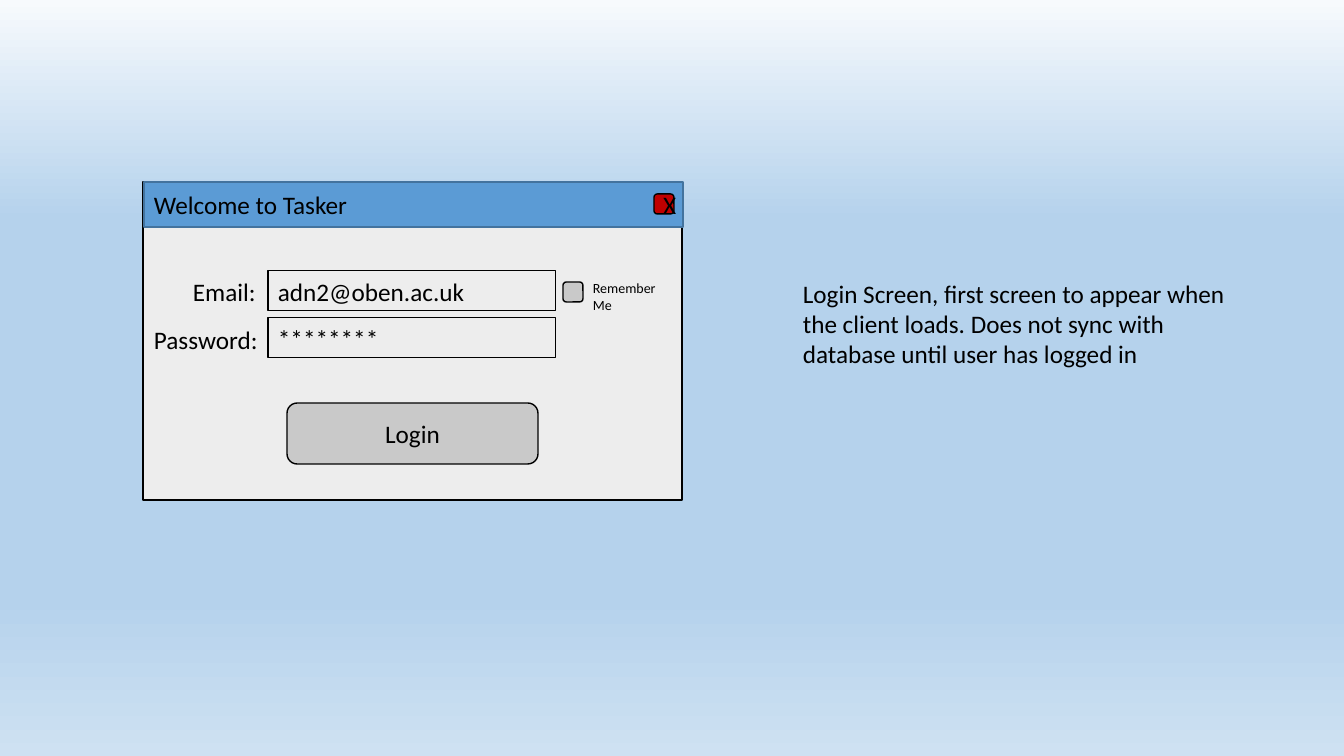
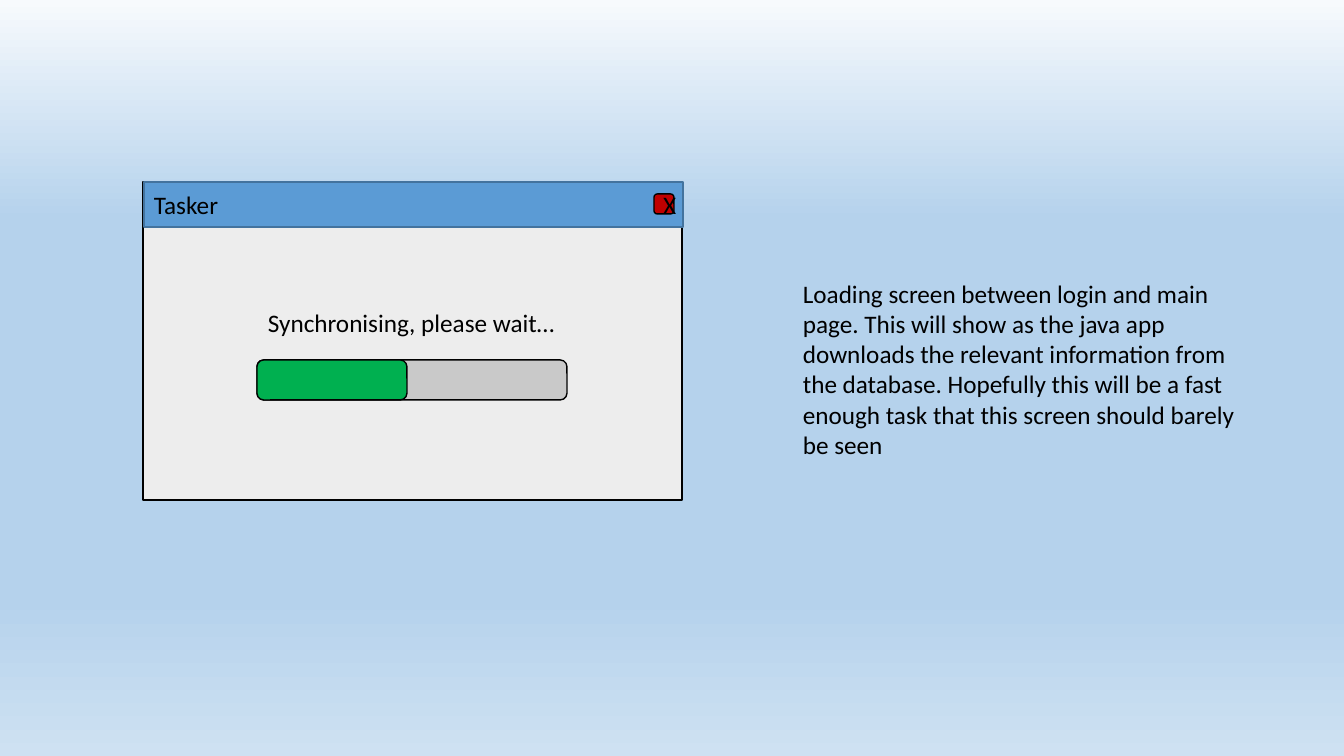
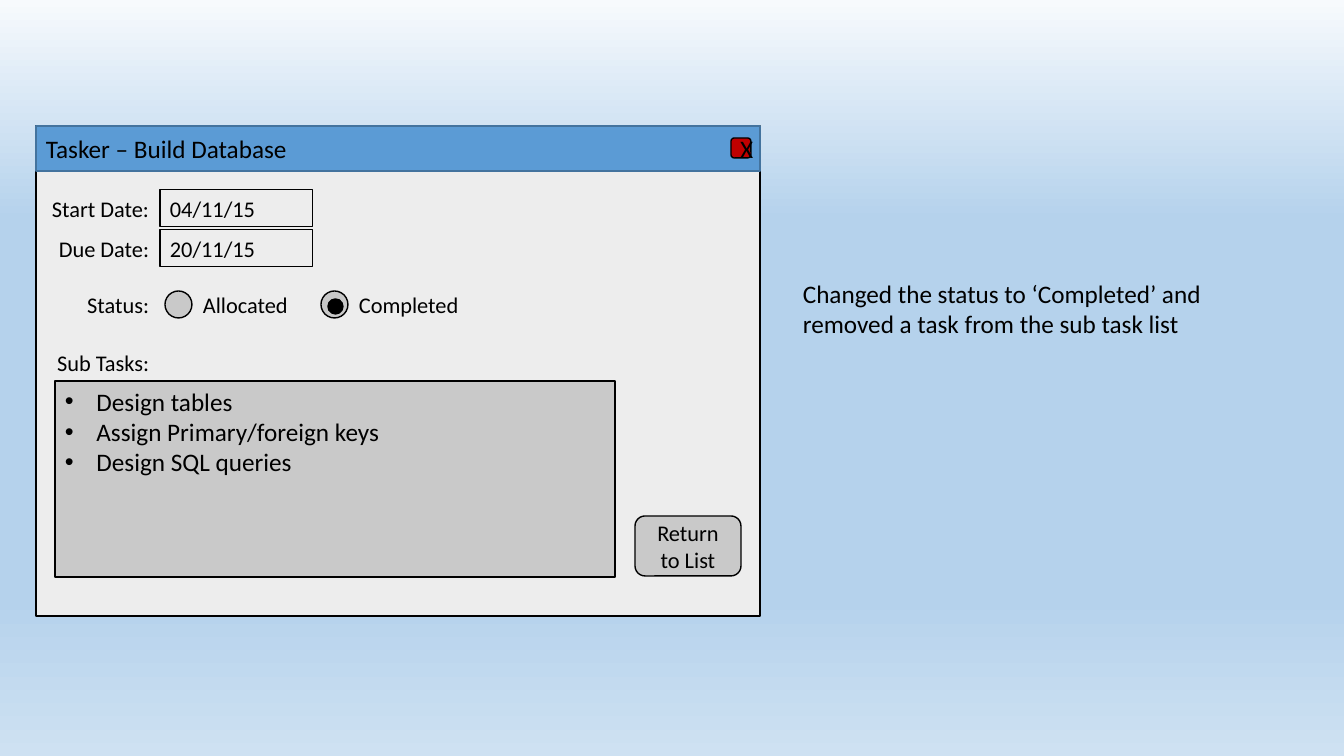
import copy

import lxml.etree
import pptx
import pptx.dml.color
import pptx.enum.shapes
import pptx.enum.text
import pptx.oxml.ns
import pptx.util

SHAPE = pptx.enum.shapes.MSO_SHAPE
ALIGN = pptx.enum.text.PP_ALIGN
ANCHOR = pptx.enum.text.MSO_ANCHOR
EMU_PER_PX = 914400 / 100.8
FONT = "Calibri"

COLORS = {
    "ink": "000000", "window": "EDEDED", "bar": "5B9BD5", "bar_line": "43739E",
    "control": "C9C9C9", "close": "C00000", "done": "00B050",
    "sky_top": "F7FAFD", "sky": "B5D2EC", "sky_low": "CEE1F2",
}
SKY = [(0, "sky_top"), (0.29, "sky"), (0.79, "sky"), (1, "sky_low")]

# Window title, window box, left edge of the title bar, note, note height
SCREENS = [
    ("Welcome to Tasker", (143, 182, 539, 318), 144,
     "Login Screen, first screen to appear when the client loads. "
     "Does not sync with database until user has logged in", 102),
    ("Tasker", (143, 182, 539, 318), 144,
     "Loading screen between login and main page. This will show as the java app "
     "downloads the relevant information from the database. Hopefully this will be "
     "a fast enough task that this screen should barely be seen", 194),
    ("Tasker – Build Database", (36, 126, 724, 490), 36,
     "Changed the status to ‘Completed’ and removed a task from the sub task list", 72),
]
# Label, label box, value, top of the value field
LOGIN_FIELDS = [
    ("Email:", (183, 271, 86, 40), "adn2@oben.ac.uk", 271),
    ("Password:", (144, 319, 124, 40), "********", 318),
]
TASK_LABELS = [("Start Date:", 190), ("Due Date:", 230), ("Status:", 286), ("Sub Tasks:", 344)]
TASK_DATES = [("04/11/15", 190), ("20/11/15", 230)]
STATUSES = [("Allocated", 165, False), ("Completed", 321, True)]
SUB_TASKS = ["Design tables", "Assign Primary/foreign keys", "Design SQL queries"]


def px(n):
    """Turn pixels into EMU."""
    return round(n * EMU_PER_PX)


def rgb(name):
    """Look up a named colour."""
    return pptx.dml.color.RGBColor.from_string(COLORS[name])


def add_bullet(p, indent=31.5):
    """Give a paragraph a round bullet with a hanging indent."""
    pPr = p._p.get_or_add_pPr()
    pPr.set("marL", str(px(indent)))
    pPr.set("indent", str(-px(indent)))
    for tag, attr, value in [("buFont", "typeface", "Arial"), ("buChar", "char", "•")]:
        lxml.etree.SubElement(pPr, pptx.oxml.ns.qn("a:" + tag)).set(attr, value)


def write(sp, text, size=18, align=ALIGN.LEFT, anchor=ANCHOR.TOP, wrap=True, bullets=False):
    """Write text, one paragraph a line, into a shape."""
    tf = sp.text_frame
    tf.word_wrap = wrap
    tf.vertical_anchor = anchor
    for i, line in enumerate(text.split("\n")):
        p = tf.add_paragraph() if i else tf.paragraphs[0]
        p.alignment = align
        r = p.add_run()
        r.text = line
        r.font.name = FONT
        r.font.size = pptx.util.Pt(size)
        r.font.color.rgb = rgb("ink")
        if bullets:
            add_bullet(p)


def add_text(s, box, text, **fmt):
    """Add a text box."""
    write(s.shapes.add_textbox(*map(px, box)), text, **fmt)


def add_box(s, box, fill="control", kind=SHAPE.RECTANGLE, line="ink", width=1, text=None, **fmt):
    """Add an outlined shape, with text if given."""
    sp = s.shapes.add_shape(kind, *map(px, box))
    sp.shadow.inherit = False
    if fill:
        sp.fill.solid()
        sp.fill.fore_color.rgb = rgb(fill)
    else:
        sp.fill.background()
    sp.line.color.rgb = rgb(line)
    sp.line.width = pptx.util.Pt(width)
    if text:
        write(sp, text, **fmt)


def add_button(s, box, text=None, fill="control", size=18):
    """Add a rounded control with a centred caption."""
    add_box(s, box, fill, SHAPE.ROUNDED_RECTANGLE, text=text, size=size,
            align=ALIGN.CENTER, anchor=ANCHOR.MIDDLE)


def add_field(s, box, text, size=18):
    """Add an input field with its value."""
    add_box(s, box, None, width=0.75, text=text, size=size)


def paint_background(prs):
    """Put the vertical gradient on the master."""
    fill = prs.slide_master.background.fill
    fill.gradient()
    fill.gradient_angle = 270
    stops = prs.slide_master.element.find(".//" + pptx.oxml.ns.qn("a:gsLst"))
    while len(stops) < len(SKY):
        stops.append(copy.deepcopy(stops[0]))
    for stop, (position, color) in zip(fill.gradient_stops, SKY):
        stop.position = position
        stop.color.rgb = rgb(color)


def add_screen(prs, title, window, bar_x, note, note_h):
    """Add a slide with an empty program window and the note beside it."""
    s = prs.slides.add_slide(prs.slide_layouts[6])
    _, y, w, _ = window
    add_box(s, window, "window")
    add_box(s, (bar_x, y, w, 45), "bar", line="bar_line", text=title, anchor=ANCHOR.MIDDLE)
    add_button(s, (bar_x + w - 29, y + 12, 20, 20), "X", "close")
    add_text(s, (793, 273, 459, note_h), note)
    return s


def fill_login(s):
    """Add the login form."""
    for label, box, value, y in LOGIN_FIELDS:
        add_field(s, (268, y, 288, 40), value)
        add_text(s, box, label, wrap=False)
    add_button(s, (563, 282, 20, 20))
    add_text(s, (583, 275, 86, 44), "Remember Me", size=10)
    add_button(s, (287, 403, 251, 61), "Login")


def fill_loading(s):
    """Add the message and the progress bar."""
    add_text(s, (258, 302, 310, 40), "Synchronising, please wait…", wrap=False)
    for w, color in [(310, "control"), (150, "done")]:
        add_button(s, (257, 360, w, 40), fill=color)


def fill_task(s):
    """Add the task details."""
    for label, y in TASK_LABELS:
        add_text(s, (36, y, 123, 37), label, size=16, align=ALIGN.RIGHT)
    for date, y in TASK_DATES:
        add_field(s, (160, y, 153, 37), date, size=16)
    for status, x, chosen in STATUSES:
        add_box(s, (x, 291, 27, 27), kind=SHAPE.OVAL)
        if chosen:
            add_box(s, (x + 7, 299, 15, 15), "ink", SHAPE.OVAL)
        add_text(s, (x + 28, 286, 123, 37), status, size=16)
    add_box(s, (55, 381, 560, 196), text="\n".join(SUB_TASKS), bullets=True)
    add_button(s, (635, 516, 106, 60), "Return to List", size=16)


prs = pptx.Presentation()
prs.slide_width, prs.slide_height = px(1344), px(756)
paint_background(prs)
for screen, fill_window in zip(SCREENS, (fill_login, fill_loading, fill_task)):
    fill_window(add_screen(prs, *screen))
prs.save("out.pptx")
